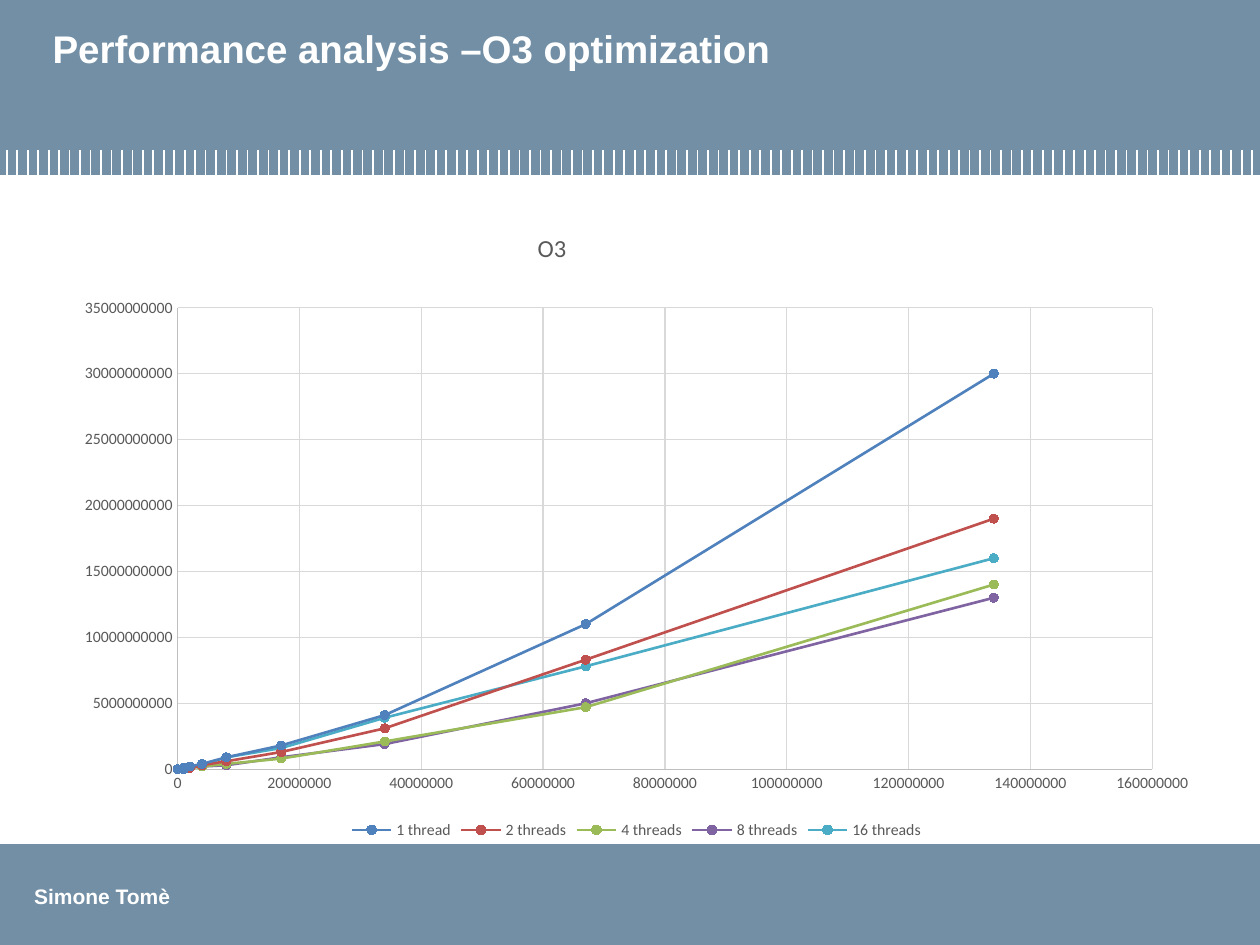
"""Build the slide that charts O3 timings for each thread count."""
from dataclasses import dataclass

import pptx
import pptx.chart.data
import pptx.dml.color
import pptx.enum.chart
import pptx.enum.shapes
import pptx.enum.text
import pptx.oxml
import pptx.oxml.ns
import pptx.util

Pt = pptx.util.Pt
SLIDE_WIDTH, SLIDE_HEIGHT = 720, 540
BAND_COLOR, WHITE = "728FA5", "FFFFFF"
TEXT_GREY, AXIS_GREY, GRID_GREY = "595959", "BFBFBF", "D9D9D9"
TICK_COUNT, TICK_START, TICK_STEP = 120, 3.9, 5.98
TICK_TOP, TICK_BOTTOM = 85.7, 100
MILLION = 1_000_000
SIZES = [0, 1, 1, 2, 4, 8, 17, 34, 67, 134]


@dataclass
class Box:
    left: float
    top: float
    width: float
    height: float

    def lengths(self) -> list:
        return [Pt(value) for value in (self.left, self.top, self.width, self.height)]


@dataclass
class Label:
    text: str
    box: Box
    size: float
    wrap: bool


@dataclass
class ThreadSeries:
    name: str
    color: str
    times: list


BANDS = [Box(0, 0, SLIDE_WIDTH, 100), Box(0, 482.4, SLIDE_WIDTH, 57.6)]
TITLE = Label("Performance analysis –O3 optimization", Box(23, 10.8, 675.4, 66.2), 22, True)
AUTHOR = Label("Simone Tomè", Box(12.4, 501.1, 92.9, 21.6), 12, False)
CHART_BOX = Box(36, 126, 655.2, 356.4)
SERIES = [
    ThreadSeries("1 thread", "4F81BD", [0, 0, 100, 200, 400, 900, 1800, 4100, 11000, 30000]),
    ThreadSeries("2 threads", "C0504D", [0, 0, 100, 100, 300, 600, 1300, 3100, 8300, 19000]),
    ThreadSeries("4 threads", "9BBB59", [0, 0, 0, 100, 200, 400, 800, 2100, 4700, 14000]),
    ThreadSeries("8 threads", "8064A2", [0, 0, 0, 100, 200, 300, 900, 1900, 5000, 13000]),
    ThreadSeries("16 threads", "4BACC6", [0, 100, 100, 200, 300, 900, 1600, 3900, 7800, 16000]),
]


def rgb(value: str) -> pptx.dml.color.RGBColor:
    return pptx.dml.color.RGBColor.from_string(value)


def style_font(font, name: str, size: float, color: str, bold: bool = False) -> None:
    font.name, font.size, font.bold = name, Pt(size), bold
    font.color.rgb = rgb(color)


def style_line(line, color: str, width: float) -> None:
    line.color.rgb = rgb(color)
    line.width = Pt(width)


def add_band(slide, box: Box) -> None:
    shape = slide.shapes.add_shape(pptx.enum.shapes.MSO_SHAPE.RECTANGLE, *box.lengths())
    shape.shadow.inherit = False
    shape.fill.solid()
    shape.fill.fore_color.rgb = rgb(BAND_COLOR)
    shape.line.fill.background()


def add_ticks(slide) -> None:
    group = slide.shapes.add_group_shape()
    for index in range(TICK_COUNT):
        position = Pt(TICK_START + index * TICK_STEP)
        tick = group.shapes.add_connector(
            pptx.enum.shapes.MSO_CONNECTOR.STRAIGHT,
            position, Pt(TICK_TOP), position, Pt(TICK_BOTTOM))
        style_line(tick.line, WHITE, 1)
        properties = tick._element.spPr
        properties.append(properties.makeelement(pptx.oxml.ns.qn("a:effectLst"), {}))


def add_label(slide, label: Label) -> None:
    frame = slide.shapes.add_textbox(*label.box.lengths()).text_frame
    frame.word_wrap = label.wrap
    frame.vertical_anchor = pptx.enum.text.MSO_ANCHOR.TOP
    run = frame.paragraphs[0].add_run()
    run.text = label.text
    style_font(run.font, "Arial", label.size, WHITE, bold=True)


def set_layout(element, index: int, values: dict, inner: bool = False) -> None:
    for layout in element.findall(pptx.oxml.ns.qn("c:layout")):
        element.remove(layout)
    target = '<c:layoutTarget val="inner"/>' if inner else ""
    modes = '<c:xMode val="edge"/><c:yMode val="edge"/>'
    sizes = "".join(f'<c:{key} val="{value}"/>' for key, value in values.items())
    element.insert(index, pptx.oxml.parse_xml(
        f'<c:layout {pptx.oxml.ns.nsdecls("c")}><c:manualLayout>'
        f"{target}{modes}{sizes}</c:manualLayout></c:layout>"))


def style_axis(axis, maximum: float, step: float) -> None:
    axis.minimum_scale, axis.maximum_scale, axis.major_unit = 0, maximum, step
    axis.major_tick_mark = axis.minor_tick_mark = pptx.enum.chart.XL_TICK_MARK.NONE
    axis.has_major_gridlines = True
    style_line(axis.major_gridlines.format.line, GRID_GREY, 0.75)
    style_line(axis.format.line, AXIS_GREY, 0.75)
    style_font(axis.tick_labels.font, "Calibri", 9, TEXT_GREY)
    axis.tick_labels.number_format = "General"
    axis.tick_labels.number_format_is_linked = False


def style_series(series, color: str) -> None:
    style_line(series.format.line, color, 1.5)
    marker = series.marker
    marker.style, marker.size = pptx.enum.chart.XL_MARKER_STYLE.CIRCLE, 5
    marker.format.fill.solid()
    marker.format.fill.fore_color.rgb = rgb(color)
    style_line(marker.format.line, color, 0.75)


def add_timing_chart(slide) -> None:
    data = pptx.chart.data.XyChartData()
    for entry in SERIES:
        points = data.add_series(entry.name)
        for size, time in zip(SIZES, entry.times):
            points.add_data_point(size * MILLION, time * MILLION)
    chart = slide.shapes.add_chart(
        pptx.enum.chart.XL_CHART_TYPE.XY_SCATTER_LINES, *CHART_BOX.lengths(), data).chart
    style_font(chart.font, "Calibri", 10, "000000")
    chart.has_title = True
    run = chart.chart_title.text_frame.paragraphs[0].add_run()
    run.text = "O3"
    style_font(run.font, "Calibri", 14, TEXT_GREY)
    set_layout(chart.chart_title._element, 1, {"x": 0.41, "y": 0.01})
    set_layout(chart._chartSpace.chart.plotArea, 0,
               {"x": 0.1, "y": 0.14, "w": 0.85, "h": 0.74}, inner=True)
    chart.has_legend = True
    chart.legend.position = pptx.enum.chart.XL_LEGEND_POSITION.BOTTOM
    chart.legend.include_in_layout = False
    style_font(chart.legend.font, "Calibri", 9, TEXT_GREY)
    style_axis(chart.category_axis, 160 * MILLION, 20 * MILLION)
    style_axis(chart.value_axis, 35000 * MILLION, 5000 * MILLION)
    plot = chart.plots[0]
    plot.vary_by_categories = False
    for series, entry in zip(plot.series, SERIES):
        style_series(series, entry.color)


def main() -> None:
    presentation = pptx.Presentation()
    presentation.slide_width, presentation.slide_height = Pt(SLIDE_WIDTH), Pt(SLIDE_HEIGHT)
    slide = presentation.slides.add_slide(presentation.slide_layouts[6])
    for band in BANDS:
        add_band(slide, band)
    add_label(slide, AUTHOR)
    add_ticks(slide)
    add_label(slide, TITLE)
    add_timing_chart(slide)
    presentation.save("out.pptx")


if __name__ == "__main__":
    main()
